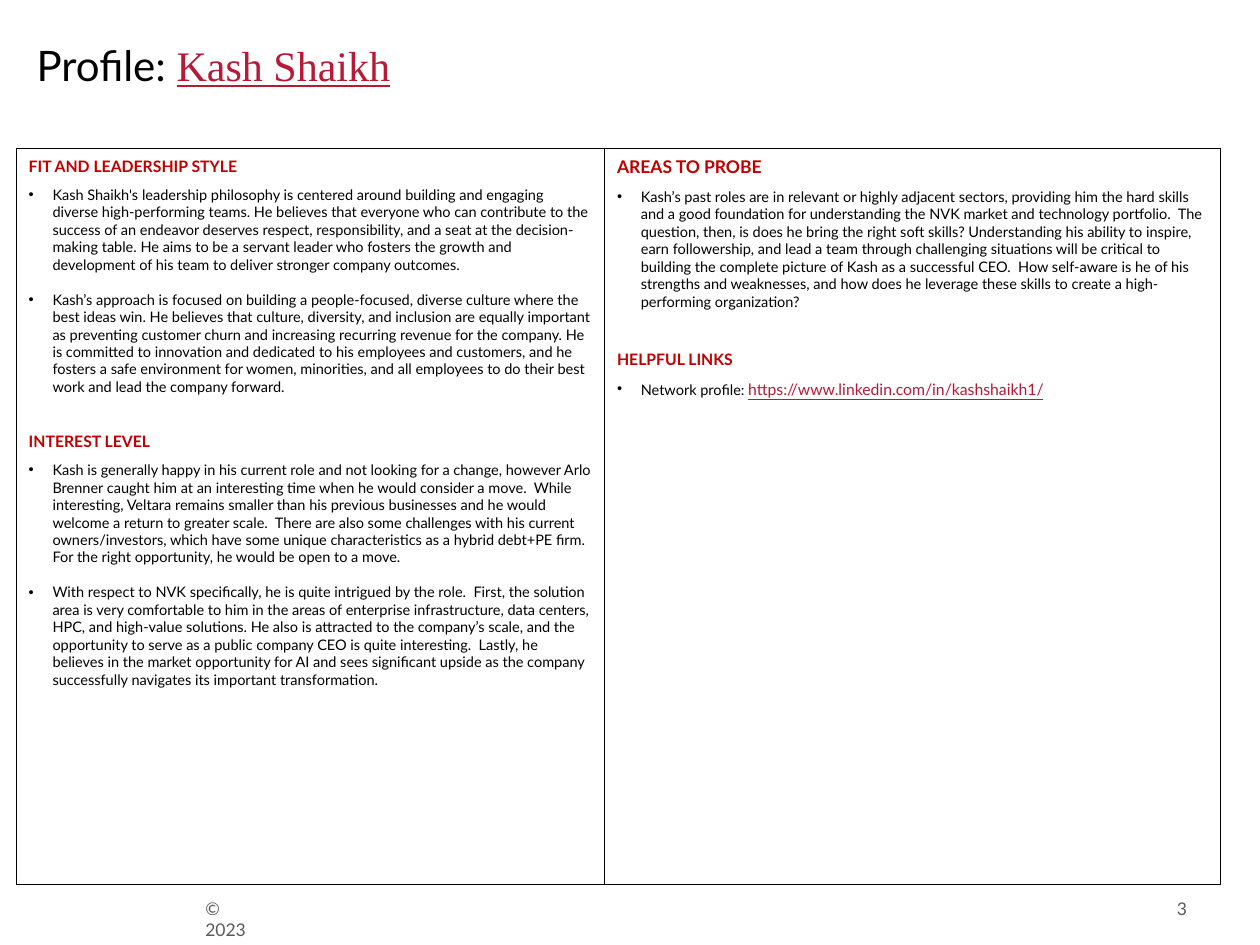
from lxml.etree import SubElement as Sub
from pptx import Presentation
from pptx.dml.color import RGBColor as RGB
from pptx.enum.shapes import MSO_SHAPE as Kind
from pptx.enum.text import MSO_ANCHOR as Anchor, PP_ALIGN as Align
from pptx.oxml.ns import qn
from pptx.util import Cm, Pt

BLACK = RGB(0, 0, 0)
WHITE = RGB(255, 255, 255)
RED = RGB(0xC0, 0, 0)
LINK = RGB(0xB6, 0x1A, 0x37)
GRAY = RGB(0x59, 0x59, 0x59)
BODY = 8.3


def add_run(para, text, size, color, name="Lato", bold=False, line=False):
    run = para.add_run()
    run.text = text
    font = run.font
    font.size, font.name, font.bold = Pt(size), name, bold
    font.underline = line
    font.color.rgb = color


def add_box(left, top, width, height):
    box = deck.shapes.add_textbox(Cm(left), Cm(top), Cm(width), Cm(height))
    frame = box.text_frame
    frame.margin_left = frame.margin_right = 0
    frame.margin_top = frame.margin_bottom = 0
    frame.word_wrap = True
    return frame


show = Presentation()
show.slide_width, show.slide_height = Cm(25.4), Cm(19.05)
deck = show.slides.add_slide(show.slide_layouts[6])

# Title
para = add_box(0.74, 0.79, 15.6, 1.14).paragraphs[0]
add_run(para, "Profile: ", 24, BLACK)
add_run(para, "Kash Shaikh", 24, LINK, "Times New Roman", line=True)

# Footer and page number
para = add_box(4.14, 18.11, 1.14, 0.43).paragraphs[0]
add_run(para, "© 2023", 10, GRAY)
frame = add_box(23.27, 18.11, 0.66, 0.43)
frame.vertical_anchor = Anchor.MIDDLE
frame.paragraphs[0].alignment = Align.RIGHT
add_run(frame.paragraphs[0], "3", 10, GRAY)

# Panel text: heading, heading size, bullets as (text, link, space after)
fit = ("FIT AND LEADERSHIP STYLE", 9, [
    ("Kash Shaikh's leadership philosophy is centered around building and "
     "engaging diverse high-performing teams. He believes that everyone who "
     "can contribute to the success of an endeavor deserves respect, "
     "responsibility, and a seat at the decision-making table. He aims to be "
     "a servant leader who fosters the growth and development of his team to "
     "deliver stronger company outcomes.", "", 10),
    ("Kash’s approach is focused on building a people-focused, diverse "
     "culture where the best ideas win. He believes that culture, diversity, "
     "and inclusion are equally important as preventing customer churn and "
     "increasing recurring revenue for the company. He is committed to "
     "innovation and dedicated to his employees and customers, and he "
     "fosters a safe environment for women, minorities, and all employees to "
     "do their best work and lead the company forward.", "", 20),
])
level = ("INTEREST LEVEL", 9, [
    ("Kash is generally happy in his current role and not looking for a "
     "change, however Arlo Brenner caught him at an interesting time when he "
     "would consider a move.  While interesting, Veltara remains smaller "
     "than his previous businesses and he would welcome a return to greater "
     "scale.  There are also some challenges with his current "
     "owners/investors, which have some unique characteristics as a hybrid "
     "debt+PE firm.  For the right opportunity, he would be open to a move.",
     "", 10),
    ("With respect to NVK specifically, he is quite intrigued by the role.  "
     "First, the solution area is very comfortable to him in the areas of "
     "enterprise infrastructure, data centers, HPC, and high-value "
     "solutions. He also is attracted to the company’s scale, and the "
     "opportunity to serve as a public company CEO is quite interesting.  "
     "Lastly, he believes in the market opportunity for AI and sees "
     "significant upside as the company successfully navigates its important "
     "transformation.", "", 0),
])
probe = ("AREAS TO PROBE", 10, [
    ("Kash’s past roles are in relevant or highly adjacent sectors, "
     "providing him the hard skills and a good foundation for understanding "
     "the NVK market and technology portfolio.  The question, then, is does "
     "he bring the right soft skills? Understanding his ability to inspire, "
     "earn followership, and lead a team through challenging situations will "
     "be critical to building the complete picture of Kash as a successful "
     "CEO.  How self-aware is he of his strengths and weaknesses, and how "
     "does he leverage these skills to create a high-performing "
     "organization?", "", 22),
])
links = ("HELPFUL LINKS", 9, [
    ("Network profile: ", "https://www.linkedin.com/in/kashshaikh1/", 6),
])

# Two bordered panels side by side
for left, width, parts in [(12.19, 12.42, [probe, links]),
                           (0.33, 11.86, [fit, level])]:
    panel = deck.shapes.add_shape(
        Kind.RECTANGLE, Cm(left), Cm(3), Cm(width), Cm(14.83))
    panel.shadow.inherit = False
    panel.fill.solid()
    panel.fill.fore_color.rgb = WHITE
    panel.line.color.rgb = BLACK
    panel.line.width = Pt(0.75)
    frame = panel.text_frame
    frame.word_wrap = True
    frame.vertical_anchor = Anchor.TOP

    for part, (head, size, items) in enumerate(parts):
        para = frame.add_paragraph() if part else frame.paragraphs[0]
        para.alignment = Align.LEFT
        para.line_spacing = 1.07
        para.space_after = Pt(6)
        add_run(para, head, size, RED, bold=True)

        for text, link, gap in items:
            para = frame.add_paragraph()
            para.alignment = Align.LEFT
            para.space_after = Pt(gap)
            props = para._p.get_or_add_pPr()
            props.set("marL", str(Cm(0.48)))
            props.set("indent", str(-Cm(0.48)))
            Sub(props, qn("a:buFont"), typeface="Arial")
            Sub(props, qn("a:buChar"), char="•")
            add_run(para, text, BODY, BLACK)
            if link:
                add_run(para, link, 9, LINK, line=True)

show.save("out.pptx")
